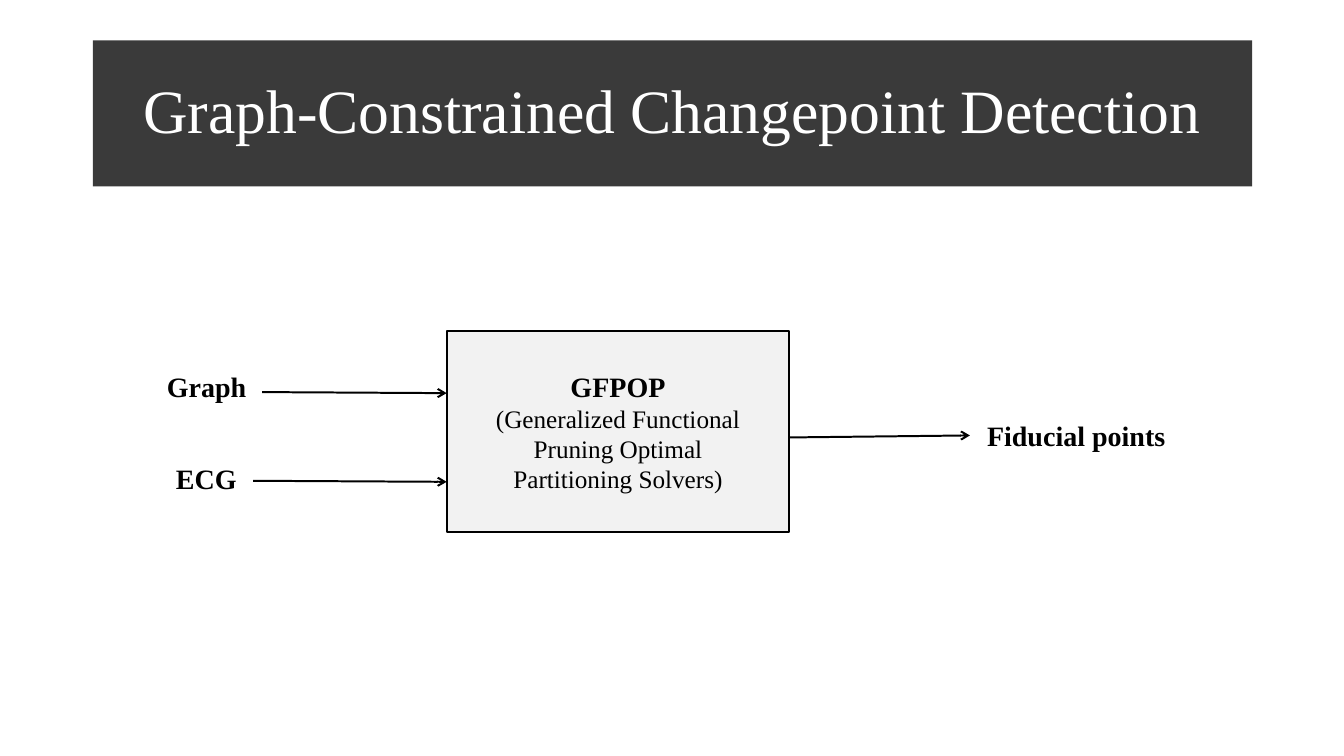
from lxml import etree
from pptx import Presentation
from pptx import util as u
from pptx.dml.color import RGBColor
from pptx.enum import shapes, text
from pptx.oxml.ns import qn

BLACK = RGBColor(0, 0, 0)
WHITE = RGBColor(255, 255, 255)
DARK = RGBColor(0x3A, 0x3A, 0x3A)
FACE = "Times New Roman"
EDGE = u.Pt(1.42)

TITLE = "Graph-Constrained Changepoint Detection"
SOLVER = [  # text, size, bold
    ("GFPOP", 20, True),
    ("(Generalized Functional", 18, False),
    ("Pruning Optimal", 18, False),
    ("Partitioning Solvers)", 18, False),
]
BOX = (4.43, 3.28, 3.4, 2)
LABELS = [  # text, left, top, width
    ("Graph", 1.53, 3.62, 1.04),
    ("ECG", 1.6, 4.53, 0.89),
    ("Fiducial points", 9.69, 4.1, 1.97),
]
LEFT, RIGHT = BOX[0], BOX[0] + BOX[2]
ARROWS = [  # from x, y, to x, y
    (2.51, 4.77, LEFT, 4.78),
    (2.6, 3.89, LEFT, 3.9),
    (RIGHT, 4.34, 9.62, 4.32),
]


def inches(vals):
    return [u.Inches(v) for v in vals]


def write(para, words, size, bold, color=BLACK):
    para.alignment = text.PP_ALIGN.CENTER
    run = para.add_run()
    run.text = words
    font = run.font
    font.name, font.size, font.bold = FACE, u.Pt(size), bold
    font.color.rgb = color


def add_title(slide):
    title = slide.shapes.title
    title.left, title.top, title.width, title.height = inches((0.92, 0.4, 11.5, 1.45))
    title.fill.solid()
    title.fill.fore_color.rgb = DARK
    frame = title.text_frame
    frame.word_wrap = True
    frame.auto_size = text.MSO_AUTO_SIZE.NONE
    frame.vertical_anchor = text.MSO_ANCHOR.MIDDLE
    para = frame.paragraphs[0]
    para.line_spacing = 0.9
    write(para, TITLE, 44, False, WHITE)


def add_solver(slide):
    box = slide.shapes.add_shape(shapes.MSO_SHAPE.RECTANGLE, *inches(BOX))
    box.shadow.inherit = False
    box.fill.solid()
    box.fill.fore_color.rgb = BLACK
    tint = box.fill._xPr.find(".//" + qn("a:srgbClr"))
    etree.SubElement(tint, qn("a:alpha"), val="5000")
    box.line.color.rgb = BLACK
    box.line.width = EDGE
    frame = box.text_frame
    frame.word_wrap = False
    frame.vertical_anchor = text.MSO_ANCHOR.MIDDLE
    for i, row in enumerate(SOLVER):
        write(frame.add_paragraph() if i else frame.paragraphs[0], *row)


def add_arrow(slide, ends):
    line = slide.shapes.add_connector(shapes.MSO_CONNECTOR.STRAIGHT, *inches(ends))
    line.line.color.rgb = BLACK
    line.line.width = EDGE
    etree.SubElement(line.line._get_or_add_ln(), qn("a:tailEnd"), type="arrow")
    etree.SubElement(line._element.spPr, qn("a:effectLst"))


def add_label(slide, words, left, top, width):
    box = slide.shapes.add_textbox(*inches((left, top, width, 0.44)))
    frame = box.text_frame
    frame.word_wrap = False
    frame.auto_size = text.MSO_AUTO_SIZE.SHAPE_TO_FIT_TEXT
    write(frame.paragraphs[0], words, 20, True)


def main():
    deck = Presentation()
    deck.slide_width, deck.slide_height = inches((13.33, 7.5))
    slide = deck.slides.add_slide(deck.slide_layouts[5])
    add_title(slide)
    add_solver(slide)
    for ends in ARROWS:
        add_arrow(slide, ends)
    for label in LABELS:
        add_label(slide, *label)
    deck.save("out.pptx")


if __name__ == "__main__":
    main()
